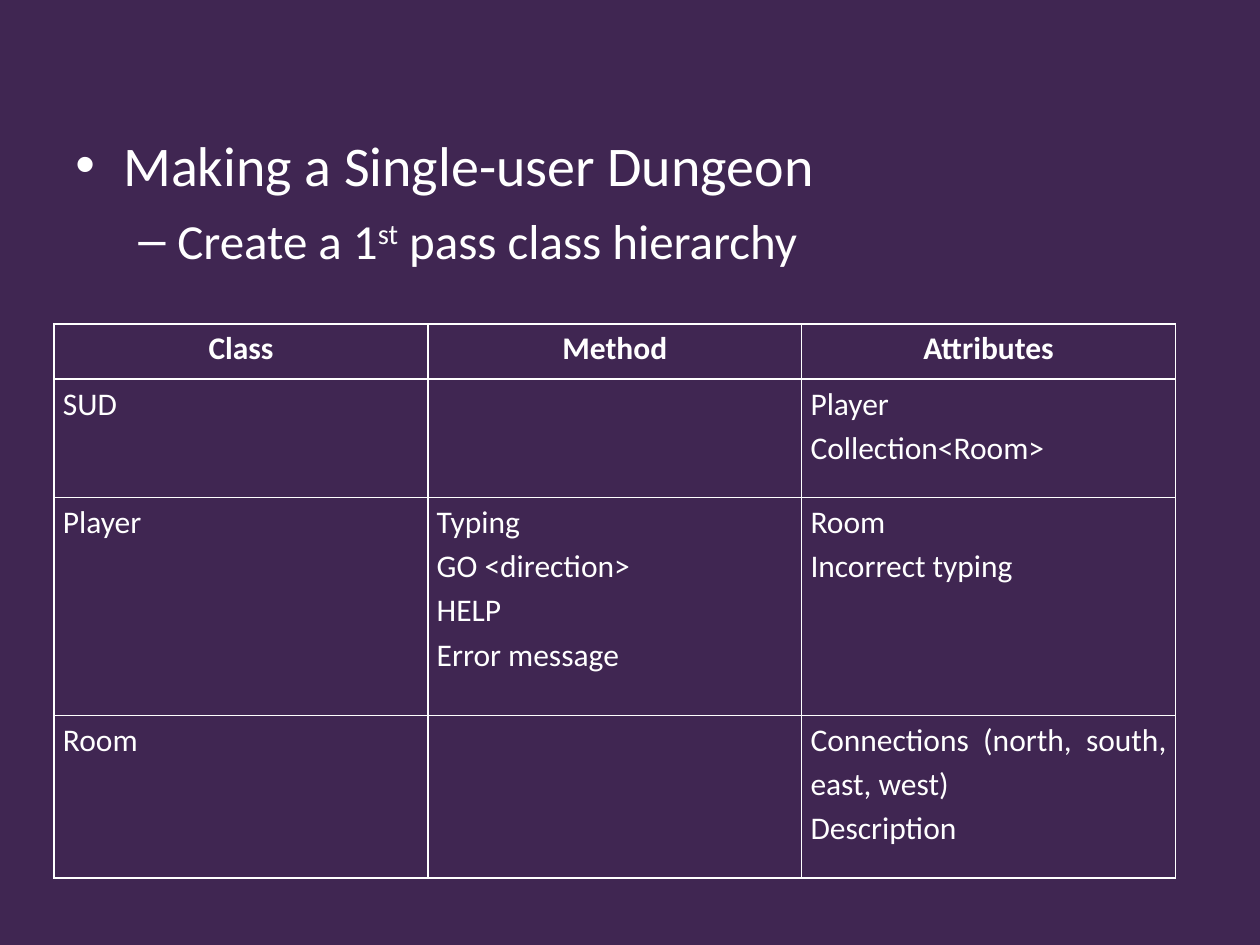
import pptx
import pptx.util
import pptx.dml.color
import pptx.enum.text
import pptx.oxml
import pptx.oxml.ns

Inches = pptx.util.Inches
Pt = pptx.util.Pt
Align = pptx.enum.text.PP_ALIGN
NS = pptx.oxml.ns.nsdecls("a")


def color(code):
    return pptx.dml.color.RGBColor.from_string(code)


def write(par, text, font="Calibri", size=18, ink="FFFFFF", bold=False,
          align=None, line=None, before=None, base=None):
    if align is not None:
        par.alignment = align
    if line:
        par.line_spacing = line
    if before:
        par.space_before = Pt(before)
    run = par.add_run()
    run.text = text
    run.font.name = font
    run.font.size = Pt(size)
    run.font.bold = bold
    run.font.color.rgb = color(ink)
    if base:
        run.font._element.set("baseline", str(base * 1000))


class Deck:
    ink = "FFFFFF"
    back = "402652"

    def __init__(self):
        self.prs = pptx.Presentation()
        self.prs.slide_width = Inches(10)
        self.prs.slide_height = Inches(7.5)
        self.slide = self.prs.slides.add_slide(self.prs.slide_layouts[6])
        fill = self.slide.background.fill
        fill.solid()
        fill.fore_color.rgb = color(self.back)

    def bullets(self, left, top, width, height, items):
        box = self.slide.shapes.add_textbox(
            Inches(left), Inches(top), Inches(width), Inches(height))
        frame = box.text_frame
        frame.word_wrap = True
        for num, (mark, level, left, hang, size, before, runs) in enumerate(items):
            par = frame.add_paragraph() if num else frame.paragraphs[0]
            par.level = level
            props = par._p.get_or_add_pPr()
            props.set("marL", str(Inches(left)))
            props.set("indent", str(-Inches(hang)))
            props.append(pptx.oxml.parse_xml(f'<a:buFont {NS} typeface="Arial"/>'))
            props.append(pptx.oxml.parse_xml(f'<a:buChar {NS} char="{mark}"/>'))
            for text, base in runs:
                write(par, text, size=size, ink=self.ink, before=before, base=base)

    def border(self, cell):
        props = cell._tc.get_or_add_tcPr()
        for num, side in enumerate(("lnL", "lnR", "lnT", "lnB")):
            props.insert(num, pptx.oxml.parse_xml(
                f'<a:{side} {NS} w="{Pt(1)}"><a:solidFill>'
                f'<a:srgbClr val="{self.ink}"/></a:solidFill></a:{side}>'))

    def cell(self, cell, lines, **style):
        cell.margin_left = cell.margin_right = Inches(0.07)
        cell.margin_top = cell.margin_bottom = 0
        cell.fill.background()
        self.border(cell)
        frame = cell.text_frame
        for num, text in enumerate(lines):
            par = frame.add_paragraph() if num else frame.paragraphs[0]
            write(par, text, ink=self.ink, line=1.15, **style)

    def table(self, left, top, width, heights, rows):
        count = len(rows[0])
        grid = self.slide.shapes.add_table(
            len(rows), count, Inches(left), Inches(top),
            Inches(width), Inches(sum(heights))).table
        grid.horz_banding = False
        for col in grid.columns:
            col.width = Inches(width / count)
        for num, (high, row) in enumerate(zip(heights, rows)):
            grid.rows[num].height = Inches(high)
            for pos, lines in enumerate(row):
                side = Align.JUSTIFY if num else Align.CENTER
                self.cell(grid.cell(num, pos), lines, bold=num == 0, align=side)

    def save(self):
        self.prs.save("out.pptx")


def main():
    deck = Deck()
    deck.bullets(0.5, 0.99, 9, 6.14, [
        ("•", 0, 0.38, 0.38, 32, None, [("Making a Single-user Dungeon", None)]),
        ("–", 1, 0.81, 0.31, 28, 6.8,
         [("Create a 1", None), ("st", 30), (" pass class hierarchy", None)]),
    ])
    deck.table(0.43, 2.57, 8.9, [0.44, 0.94, 1.73, 1.29], [
        [["Class"], ["Method"], ["Attributes"]],
        [["SUD"], [], ["Player", "Collection<Room>"]],
        [["Player"], ["Typing", "GO <direction>", "HELP", "Error message"],
         ["Room", "Incorrect typing"]],
        [["Room"], [], ["Connections (north, south, east, west)", "Description"]],
    ])
    deck.save()


if __name__ == "__main__":
    main()
